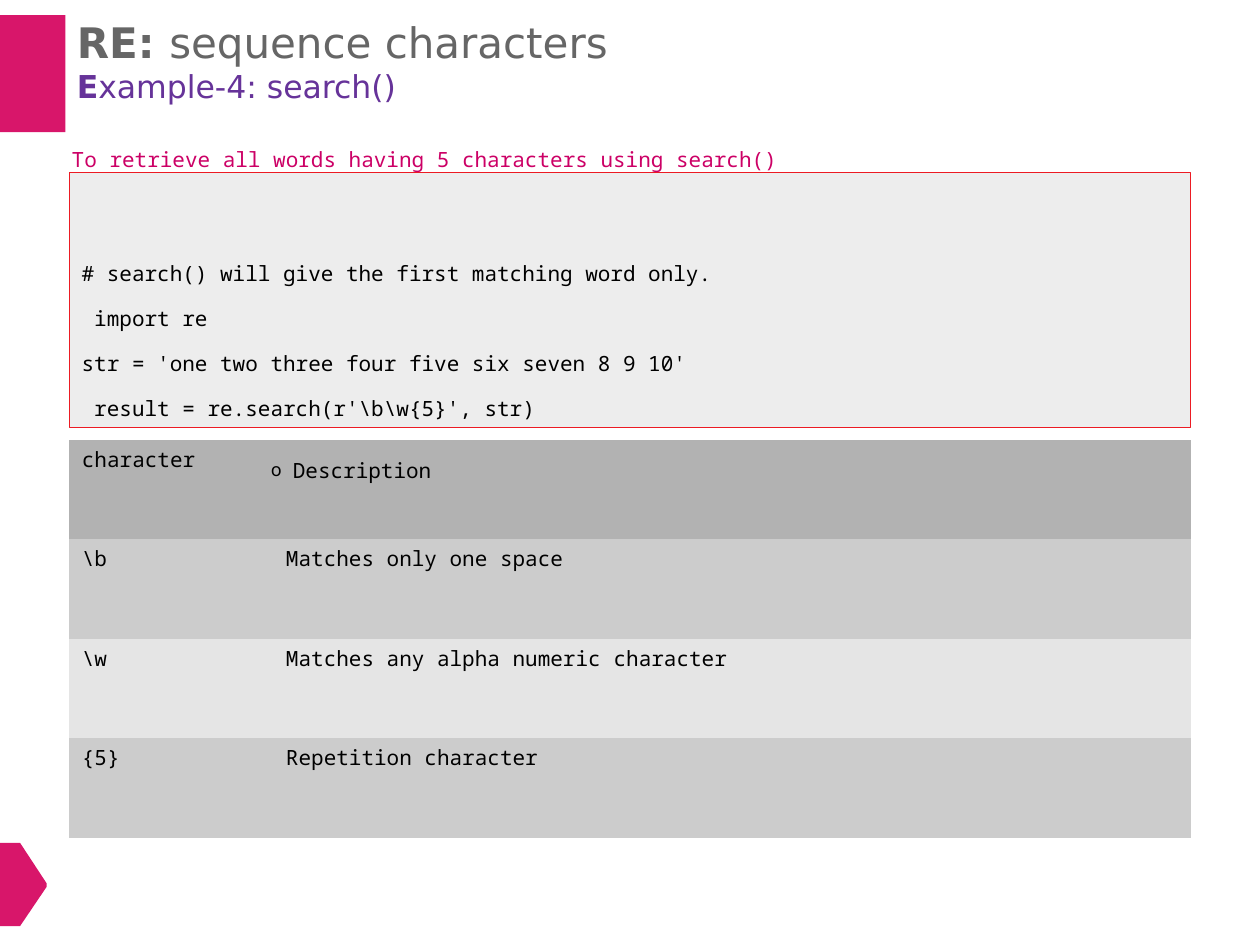
from pptx import Presentation
from pptx.dml.color import RGBColor
from pptx.enum.shapes import MSO_SHAPE as Shape
from pptx.enum.text import MSO_ANCHOR as Anchor, PP_ALIGN as Align
from pptx.util import Inches, Pt

SANS, MONO = "DejaVu Sans", "Noto Sans Mono"
PINK, BLACK = "D8166A", "000000"
NO_GRID = "{2D5ABB26-0587-4C30-8999-92F81FD0307C}"


def rgb(code):
    return RGBColor.from_string(code)


def style(r, size, color, font=MONO, bold=False):
    r.font.size, r.font.name, r.font.bold = Pt(size), font, bold
    r.font.color.rgb = rgb(color)


def paint(sp, fill, line=None):
    sp.shadow.inherit = False
    sp.fill.solid()
    sp.fill.fore_color.rgb = rgb(fill)
    if line:
        sp.line.color.rgb = rgb(line)
        sp.line.width = Pt(0.25)
    else:
        sp.line.fill.background()


def set_margins(tf, left=0, top=0):
    tf.margin_left, tf.margin_top = Inches(left), Inches(top)
    tf.margin_right = tf.margin_bottom = 0


def add_rect(slide, x, y, w, h, fill, line=None):
    sp = slide.shapes.add_shape(
        Shape.RECTANGLE, Inches(x), Inches(y), Inches(w), Inches(h))
    paint(sp, fill, line)
    return sp


def add_pointer(slide, points, fill):
    start, *rest = [(Inches(x), Inches(y)) for x, y in points]
    builder = slide.shapes.build_freeform(*start)
    builder.add_line_segments(rest, close=True)
    paint(builder.convert_to_shape(), fill)


def add_text(slide, x, y, w, h):
    tf = slide.shapes.add_textbox(
        Inches(x), Inches(y), Inches(w), Inches(h)).text_frame
    tf.word_wrap = True
    set_margins(tf, 0.01, 0.02)
    return tf


def add_title(slide, lines):
    tf = add_text(slide, 0.6, 0.11, 6, 0.73)
    for i, (lead, rest, size, color) in enumerate(lines):
        p = tf.add_paragraph() if i else tf.paragraphs[0]
        for text, bold in ((lead, True), (rest, False)):
            r = p.add_run()
            r.text = text
            style(r, size, color, SANS, bold)


def add_caption(slide, text):
    p = add_text(slide, 0.56, 1.14, 8, 0.23).paragraphs[0]
    p.text = text
    style(p.runs[0], 12, "CC0066")


def add_code(slide, blocks):
    tf = add_rect(slide, 0.55, 1.37, 8.9, 2.02, "EDEDED", "EC1B23").text_frame
    tf.vertical_anchor = Anchor.TOP
    set_margins(tf, 0.1, 0.54)
    tf.text = "\n".join(blocks)
    for p in tf.paragraphs:
        p.alignment = Align.LEFT
        p.line_spacing = 1.79
        for r in p.runs:
            style(r, 12, BLACK)


def add_table(slide, rows, widths, indents, fills, row_height):
    frame = slide.shapes.add_table(
        len(rows), len(widths), Inches(0.55), Inches(3.49),
        Inches(sum(widths)), Inches(row_height * len(rows)))
    table = frame.table
    table.first_row = table.horz_banding = False
    table._tbl.tblPr.find("{*}tableStyleId").text = NO_GRID
    for col, width in zip(table.columns, widths):
        col.width = Inches(width)
    for row, texts, fill in zip(table.rows, rows, fills):
        row.height = Inches(row_height)
        for cell, text, indent in zip(row.cells, texts, indents):
            set_margins(cell, indent, 0.04)
            cell.fill.solid()
            cell.fill.fore_color.rgb = rgb(fill)
            if text:
                p = cell.text_frame.paragraphs[0]
                p.text = text
                style(p.runs[0], 12, BLACK)
    return table


def add_marker(cell):
    p = cell.text_frame.paragraphs[0]
    text = p.text
    p.text = "o "
    marker, label = p.runs[0], p.add_run()
    label.text = text
    style(marker, 18, BLACK)
    marker._r.get_or_add_rPr().set("baseline", "7000")
    style(label, 12, BLACK)
    cell.margin_left = Inches(0.3)


def main():
    prs = Presentation()
    prs.slide_width, prs.slide_height = Inches(10), Inches(7.5)
    slide = prs.slides.add_slide(prs.slide_layouts[6])

    add_rect(slide, 0, 0.12, 0.52, 0.93, PINK)
    add_pointer(slide, [(0, 6.69), (0.16, 6.69), (0.37, 7.01),
                        (0.37, 7.04), (0.16, 7.35), (0, 7.35)], PINK)
    add_title(slide, [
        ("RE: ", "sequence characters", 24, "666666"),
        ("E", "xample-4: search()", 18, "663399"),
    ])
    add_code(slide, [
        "# search() will give the first matching word only.\v import re",
        "str = 'one two three four five six seven 8 9 10'\v"
        r" result = re.search(r'\b\w{5}', str)",
    ])
    table = add_table(
        slide,
        [("character", "Description", ""),
         (r"\b", "Matches only one space", ""),
         (r"\w", "Matches any alpha numeric", "character"),
         ("{5}", "Repetition character", "")],
        widths=(1.3, 2.97, 4.63), indents=(0.1, 0.42, 0.05),
        fills=("B2B2B2", "CCCCCC", "E5E5E5", "CCCCCC"), row_height=0.79)
    add_marker(table.cell(0, 1))
    add_caption(slide, "To retrieve all words having 5 characters using search()")
    prs.save("out.pptx")


if __name__ == "__main__":
    main()
